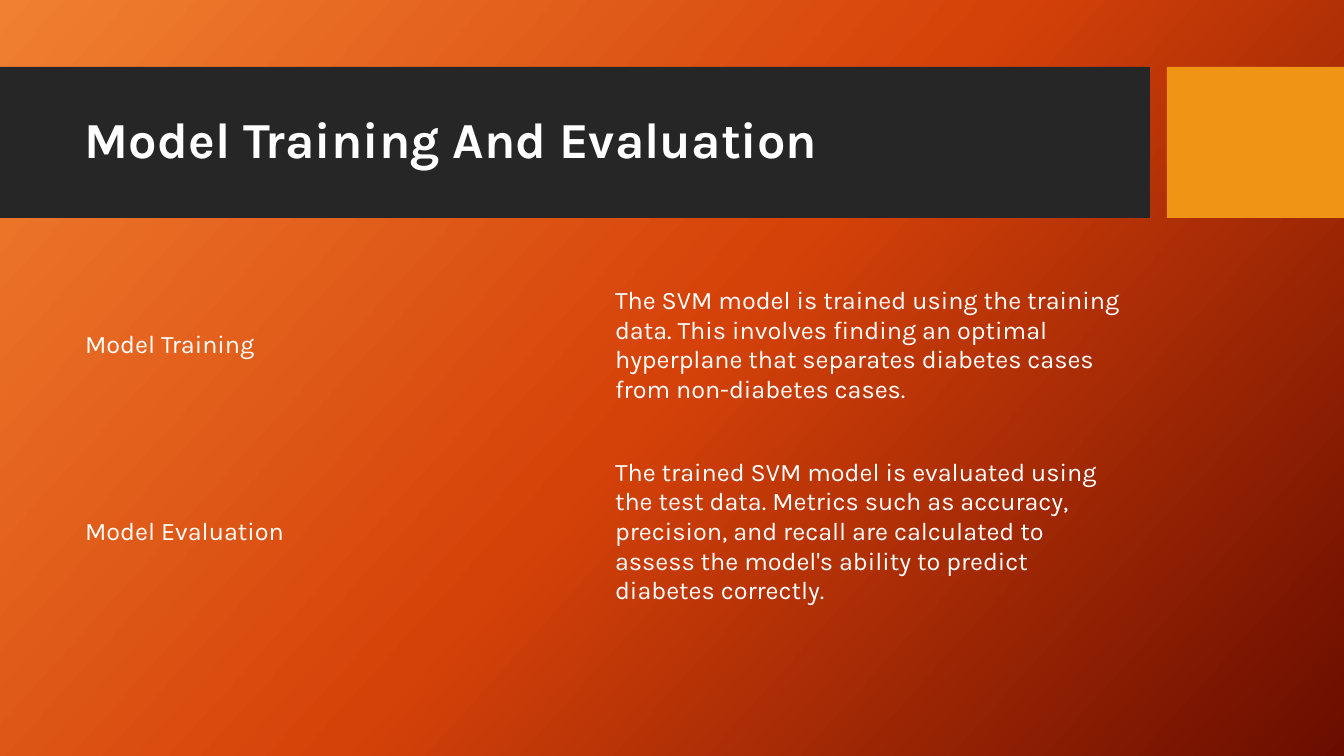
from copy import deepcopy

from pptx import Presentation
from pptx.dml.color import RGBColor
from pptx.enum.shapes import MSO_SHAPE as Shape
from pptx.enum.text import MSO_ANCHOR as Anchor
from pptx.oxml.ns import qn
from pptx.util import Emu, Pt

TITLE = "Model Training And Evaluation"
ROWS = [
    ("Model Training",
     "The SVM model is trained using the training data. This involves finding an optimal "
     "hyperplane that separates diabetes cases from non-diabetes cases."),
    ("", ""),
    ("Model Evaluation",
     "The trained SVM model is evaluated using the test data. Metrics such as accuracy, "
     "precision, and recall are calculated to assess the model's ability to predict "
     "diabetes correctly."),
]
ROW_HEIGHTS = [128, 40, 158]
COLORS = {"band": "262626", "accent": "F09415", "text": "FFFFFF"}
GRADIENT = [(0, "F18031"), (0.5, "D54209"), (1, "6A0D00")]
GRADIENT_ANGLE = 42
FONT = "Karla"
NO_GRID_STYLE = "{2D5ABB26-0587-4C30-8999-92F81FD0307C}"

PAGE_WIDTH, PAGE_HEIGHT = 1344, 756
BAND_TOP, BAND_HEIGHT, BAND_WIDTH = 67, 151, 1150
ACCENT_LEFT = 1167
CONTENT_LEFT, CONTENT_WIDTH = 75, 1060
TITLE_TOP, TITLE_HEIGHT = 83, 119
TABLE_TOP = 280


def px(length):
    return Emu(length * 914400 * 10 // 1008)


def paint_background(page):
    """Fill the page with the diagonal three-stop gradient."""
    fill = page.background.fill
    fill.gradient()
    fill.gradient_angle = 360 - GRADIENT_ANGLE
    stop_list = page.element.find(".//" + qn("a:gsLst"))
    stop_list.append(deepcopy(stop_list[-1]))
    for stop, (position, color) in zip(fill.gradient_stops, GRADIENT):
        stop.position = position
        stop.color.rgb = RGBColor.from_string(color)


def add_block(page, left, width, color):
    block = page.shapes.add_shape(
        Shape.RECTANGLE, px(left), px(BAND_TOP), px(width), px(BAND_HEIGHT))
    block.shadow.inherit = False
    block.fill.solid()
    block.fill.fore_color.rgb = RGBColor.from_string(COLORS[color])
    block.line.fill.background()


def write(frame, text, size=18, bold=False, line_spacing=None):
    para = frame.paragraphs[0]
    para.line_spacing = line_spacing
    span = para.add_run()
    span.text = text
    span.font.name = FONT
    span.font.size = Pt(size)
    span.font.bold = bold
    span.font.color.rgb = RGBColor.from_string(COLORS["text"])


def add_title(page):
    box = page.shapes.add_textbox(
        px(CONTENT_LEFT), px(TITLE_TOP), px(CONTENT_WIDTH), px(TITLE_HEIGHT))
    frame = box.text_frame
    frame.word_wrap = True
    frame.vertical_anchor = Anchor.MIDDLE
    write(frame, TITLE, size=36, bold=True, line_spacing=0.9)


def add_steps_table(page):
    table = page.shapes.add_table(
        len(ROWS), 2, px(CONTENT_LEFT), px(TABLE_TOP),
        px(CONTENT_WIDTH), px(sum(ROW_HEIGHTS))).table
    table.first_row = table.horz_banding = False
    table._tbl.tblPr.find(qn("a:tableStyleId")).text = NO_GRID_STYLE
    for row, height, texts in zip(table.rows, ROW_HEIGHTS, ROWS):
        row.height = px(height)
        for cell, text in zip(row.cells, texts):
            cell.fill.background()
            cell.vertical_anchor = Anchor.MIDDLE
            if text:
                write(cell.text_frame, text)


def main():
    deck = Presentation()
    deck.slide_width, deck.slide_height = px(PAGE_WIDTH), px(PAGE_HEIGHT)
    page = deck.slides.add_slide(deck.slide_layouts[6])
    paint_background(page)
    add_block(page, 0, BAND_WIDTH, "band")
    add_block(page, ACCENT_LEFT, PAGE_WIDTH - ACCENT_LEFT, "accent")
    add_title(page)
    add_steps_table(page)
    deck.save("out.pptx")


if __name__ == "__main__":
    main()
